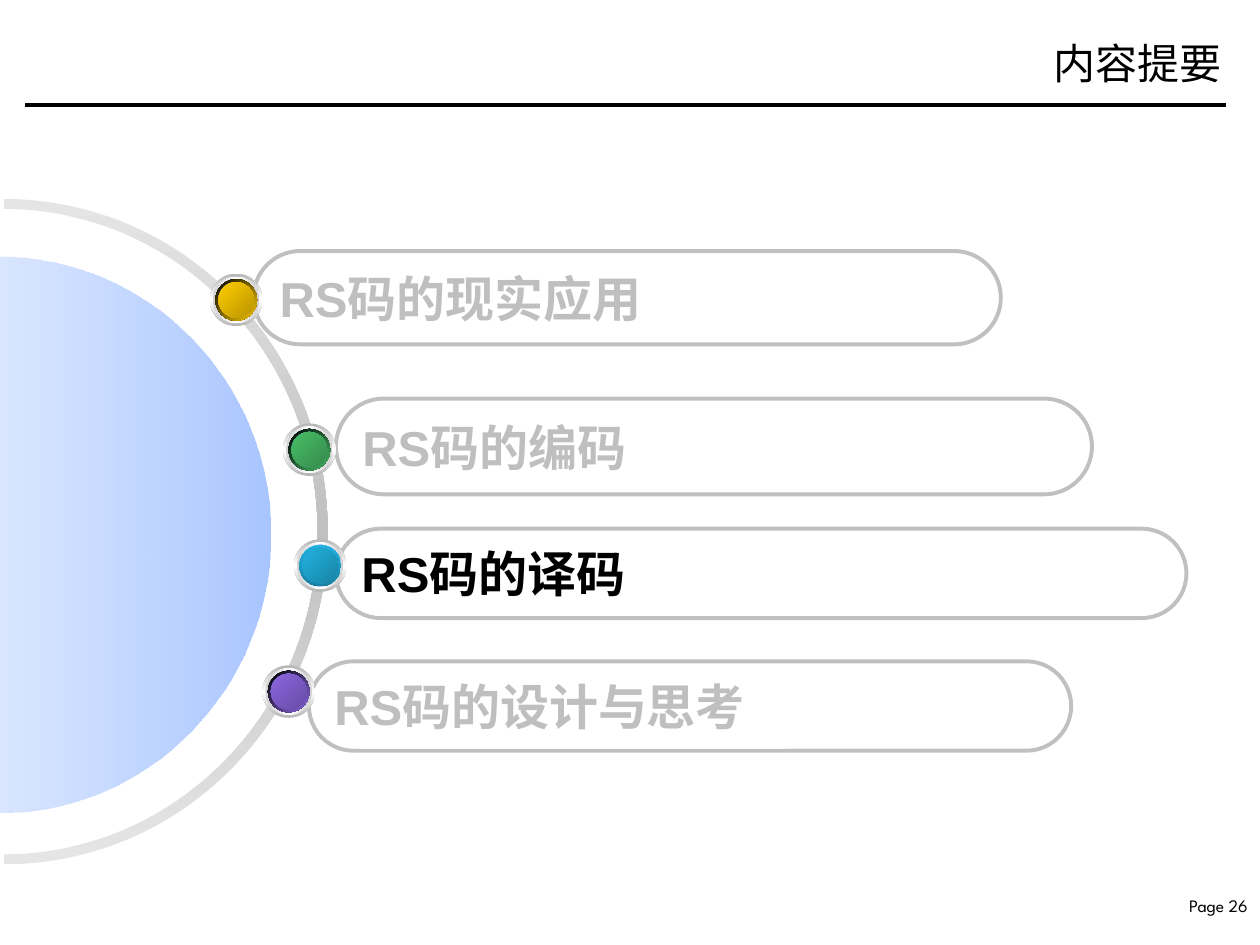
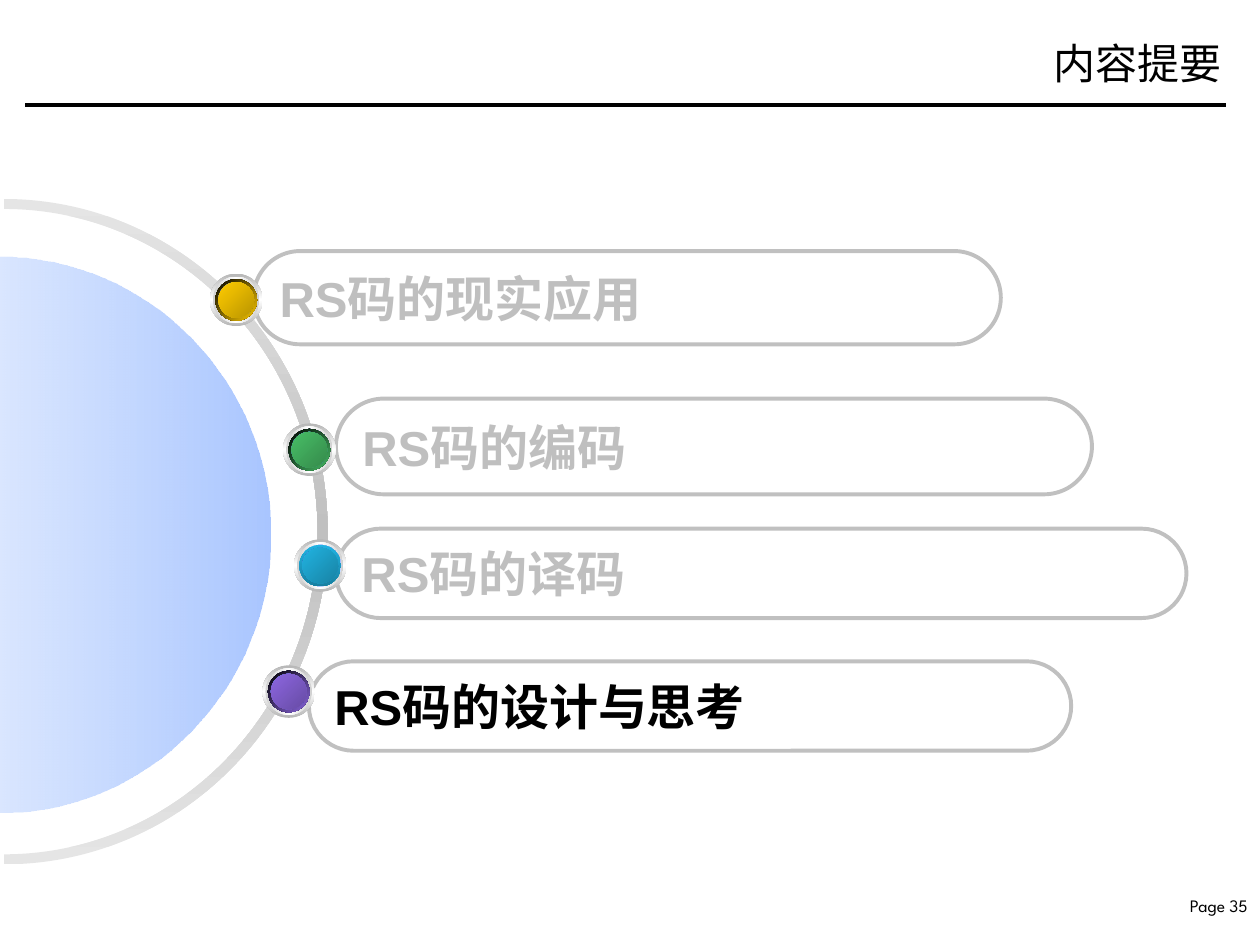
from dataclasses import dataclass

from lxml import etree
from pptx import Presentation
from pptx.dml.color import RGBColor
from pptx.enum import shapes as es
from pptx.enum import text as et
from pptx.oxml import ns
from pptx.util import Pt


@dataclass(frozen=True)
class Stop:
    code: str
    opacity: int = 100


def stops(*codes: str) -> tuple:
    return tuple(Stop(code) for code in codes)


@dataclass(frozen=True)
class Theme:
    ink: str = "000000"
    muted: str = "BFBFBF"
    outline: str = "C0C0C0"
    ring: tuple = stops("E5E5E5", "C0C0C0", "E5E5E5")
    disc: tuple = (Stop("6699FF", 56), Stop("FFFFFF", 48))
    bezel: tuple = stops("B6B6B6", "FFFFFF", "B6B6B6")
    collar: tuple = stops("D1D1D1", "FFFFFF", "D1D1D1")
    glow: tuple = stops("FFFFFF", "6699FF", "FFFFFF")
    base: tuple = stops("4E75C3", "6699FF", "4E75C3")
    title_font: str = "Times New Roman"
    topic_font: str = "Arial"
    page_font: str = "League Spartan"
    title_size: float = 24
    topic_size: float = 28
    page_size: float = 10
    rule_width: float = 2
    pill_width: float = 2.25


@dataclass(frozen=True)
class Box:
    left: float
    top: float
    width: float
    height: float

    def lengths(self) -> tuple:
        return Pt(self.left), Pt(self.top), Pt(self.width), Pt(self.height)


@dataclass(frozen=True)
class Bead:
    x: float
    y: float
    rim: tuple
    face: tuple
    rim_angle: int = 45


@dataclass(frozen=True)
class Topic:
    label: str
    pill: Box
    bead: Bead


THEME = Theme()
CURVE = 0.5523
TITLE_BOX = Box(523.6, 8.6, 181.4, 54)
PAGE_BOX = Box(662.4, 507.8, 57.6, 18.7)
RULE_Y = 60.1
RING_BOX = Box(-190.8, 115.9, 380.2, 375.8)
RING_RISE, RING_BAND = 185, 5.7
DISC_BOX = Box(-159.1, 150.5, 317.5, 309.6)
DISC_RISE = 154.8

TOPICS = (
    Topic("RS码的现实应用", Box(144.9, 143.5, 427, 53.3),
          Bead(135, 171.4, stops("000000", "FFCC00"), stops("FFCC00", "BA9500"))),
    Topic("RS码的编码", Box(192, 227.8, 432, 54.7),
          Bead(176.8, 257, stops("000000", "48BE67"), stops("48BE67", "358B4B"))),
    Topic("RS码的译码", Box(192, 302.1, 486, 51.1),
          Bead(183, 323.2, stops("21B3E1", "1880A1"), stops("21B3E1", "1883A4"), 90)),
    Topic("RS码的设计与思考", Box(176.5, 377.9, 435.6, 51.1),
          Bead(165, 395.2, stops("000000", "8D67E1"), stops("8D67E1", "674BA4"))),
)


def color(code: str) -> RGBColor:
    return RGBColor.from_string(code)


def paint_gradient(shape, blend: tuple, angle: int) -> None:
    shape.shadow.inherit = False
    shape.line.fill.background()
    shape.fill.gradient()
    shape.fill.gradient_angle = -angle % 360
    stop_list = shape.element.spPr.find(".//" + ns.qn("a:gsLst"))
    for old in list(stop_list):
        stop_list.remove(old)
    for index, stop in enumerate(blend):
        position = str(100000 * index // (len(blend) - 1))
        entry = etree.SubElement(stop_list, ns.qn("a:gs"), pos=position)
        tint = etree.SubElement(entry, ns.qn("a:srgbClr"), val=stop.code)
        if stop.opacity < 100:
            etree.SubElement(tint, ns.qn("a:alpha"), val=str(stop.opacity * 1000))


def write(shape, words: str, font: str, size: float, ink: str, align,
          bold: bool = False, wrap: bool = False,
          anchor=et.MSO_ANCHOR.MIDDLE) -> None:
    frame = shape.text_frame
    frame.word_wrap = wrap
    frame.vertical_anchor = anchor
    paragraph = frame.paragraphs[0]
    paragraph.text = words
    paragraph.alignment = align
    paragraph.font.name = font
    paragraph.font.size = Pt(size)
    paragraph.font.bold = bold
    paragraph.font.color.rgb = color(ink)


def draw_frame(slide, page: int) -> None:
    rule = slide.shapes.add_connector(
        es.MSO_CONNECTOR.STRAIGHT, Pt(14.4), Pt(RULE_Y), Pt(700.6), Pt(RULE_Y))
    rule.line.color.rgb = color(THEME.ink)
    rule.line.width = Pt(THEME.rule_width)
    etree.SubElement(rule.element.spPr, ns.qn("a:effectLst"))
    right = et.PP_ALIGN.RIGHT
    write(slide.shapes.add_textbox(*PAGE_BOX.lengths()), f"Page {page}", THEME.page_font,
          THEME.page_size, THEME.ink, right, anchor=et.MSO_ANCHOR.TOP)
    write(slide.shapes.add_textbox(*TITLE_BOX.lengths()), "内容提要", THEME.title_font,
          THEME.title_size, THEME.ink, right, wrap=True)


def arch(box: Box, rise: float, inset: float = 0) -> list:
    center, base = box.left + box.width / 2, box.top + rise
    rx, ry = box.width / 2 - inset, rise - inset
    units = ((-1, 0), (-1, CURVE), (-CURVE, 1), (0, 1), (CURVE, 1), (1, CURVE), (1, 0))
    return [(Pt(center + rx * x), Pt(base - ry * y)) for x, y in units]


def bend(path, first: int) -> None:
    edges = path.findall(ns.qn("a:lnTo"))[first:first + 6]
    for start in (0, 3):
        curve = etree.Element(ns.qn("a:cubicBezTo"))
        edges[start].addprevious(curve)
        for edge in edges[start:start + 3]:
            curve.append(edge[0])
            path.remove(edge)


def draw_half_round(slide, box: Box, rise: float, blend: tuple, angle: int,
                    band: float = 0) -> None:
    outline = arch(box, rise)
    if band:
        outline += arch(box, rise, band)[::-1]
    builder = slide.shapes.build_freeform(*outline[0])
    builder.add_line_segments(outline[1:], close=True)
    half = builder.convert_to_shape()
    path = half.element.spPr.find(".//" + ns.qn("a:path"))
    if band:
        bend(path, 7)
    bend(path, 0)
    path.set("h", str(Pt(box.height)))
    half.height = Pt(box.height)
    half.rotation = 90
    paint_gradient(half, blend, angle)


def draw_pill(slide, topic: Topic, ink: str) -> None:
    pill = slide.shapes.add_shape(es.MSO_SHAPE.ROUNDED_RECTANGLE, *topic.pill.lengths())
    pill.adjustments[0] = 0.5
    pill.shadow.inherit = False
    pill.fill.background()
    pill.line.color.rgb = color(THEME.outline)
    pill.line.width = Pt(THEME.pill_width)
    write(pill, topic.label, THEME.topic_font, THEME.topic_size, ink,
          et.PP_ALIGN.LEFT, bold=True)


def draw_bead(slide, bead: Bead) -> None:
    layers = (
        (30, THEME.bezel, 90),
        (26.6, THEME.collar, 0),
        (23.8, THEME.glow, 45),
        (23.8, bead.rim, bead.rim_angle),
        (20.4, THEME.base, 315),
        (20.4, bead.face, 45),
    )
    group = slide.shapes.add_group_shape()
    for size, blend, angle in layers:
        box = Box(bead.x - size / 2, bead.y - size / 2, size, size)
        layer = group.shapes.add_shape(es.MSO_SHAPE.OVAL, *box.lengths())
        paint_gradient(layer, blend, angle)


def draw_agenda(deck, page: int, current: str) -> None:
    slide = deck.slides.add_slide(deck.slide_layouts[6])
    draw_frame(slide, page)
    draw_half_round(slide, RING_BOX, RING_RISE, THEME.ring, 0, RING_BAND)
    draw_half_round(slide, DISC_BOX, DISC_RISE, THEME.disc, 90)
    for topic in reversed(TOPICS):
        draw_pill(slide, topic, THEME.ink if topic.label == current else THEME.muted)
    for topic in TOPICS:
        draw_bead(slide, topic.bead)


def main() -> None:
    deck = Presentation()
    deck.slide_width, deck.slide_height = Pt(720), Pt(540)
    draw_agenda(deck, 26, "RS码的译码")
    draw_agenda(deck, 35, "RS码的设计与思考")
    deck.save("out.pptx")


if __name__ == "__main__":
    main()
